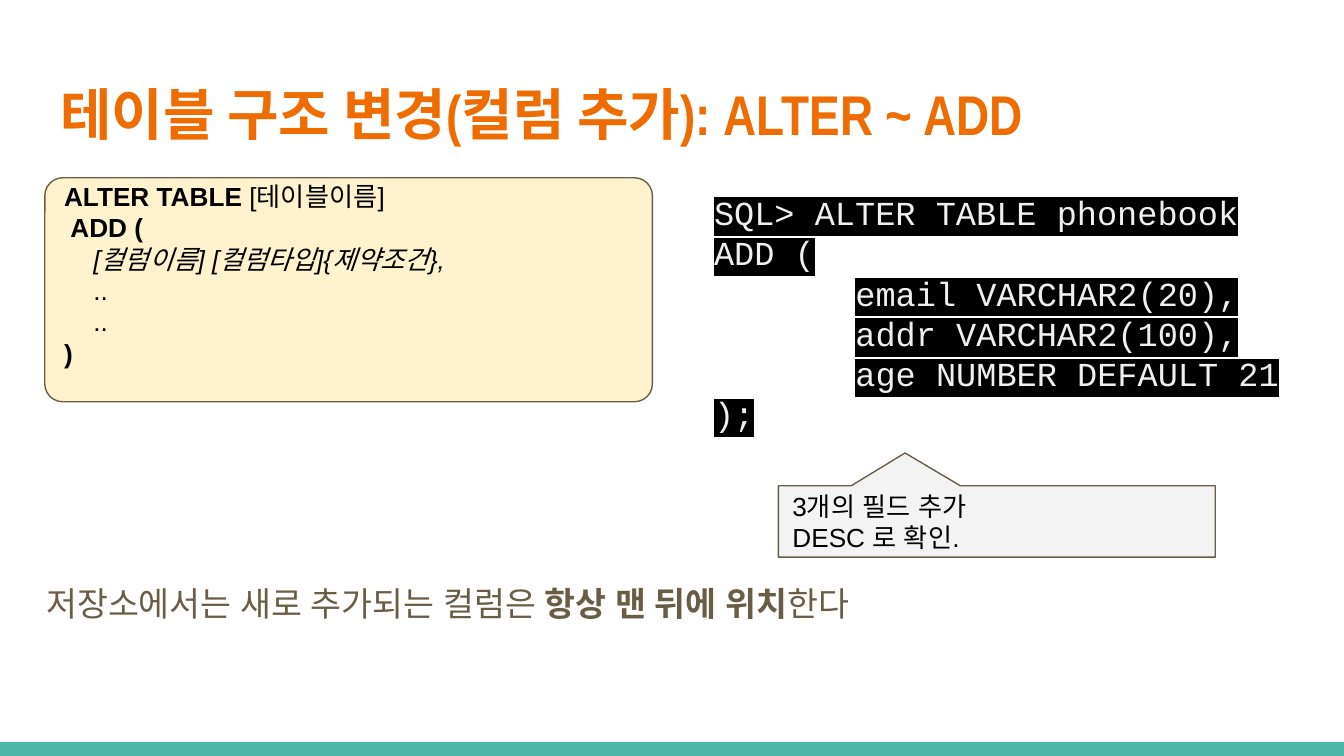
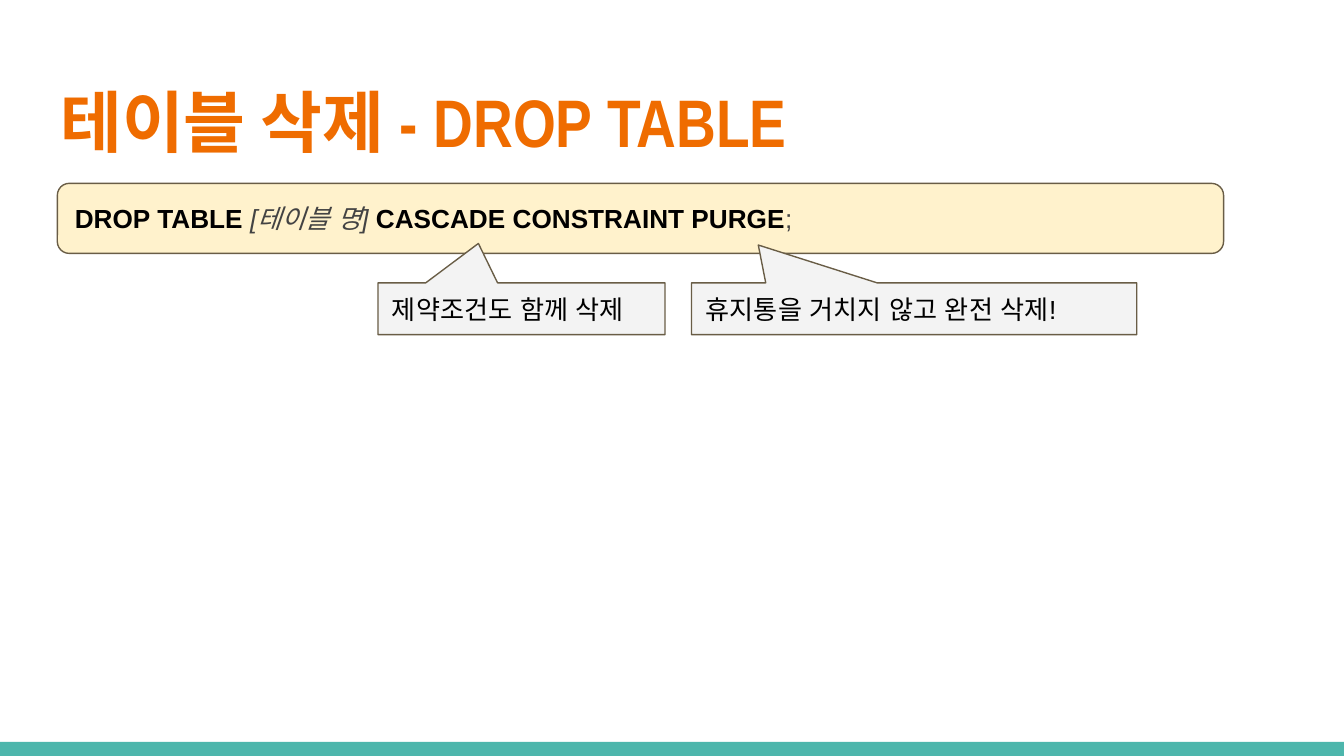
import pptx
import pptx.util
import pptx.dml.color
import pptx.enum.shapes
import pptx.enum.text
import pptx.oxml
import pptx.oxml.ns

PX = 9525
INSET = 10
COLORS = {
    "title": "EF6C00",
    "band": "4DB6AC",
    "brown": "695D46",
    "syntax": "FFF2CC",
    "note": "F3F3F3",
    "black": "000000",
    "gray": "434343",
    "code": "EFEFEF",
}
SHAPES = pptx.enum.shapes.MSO_SHAPE
ANCHORS = pptx.enum.text.MSO_ANCHOR
NAMESPACE = pptx.oxml.ns.nsdecls("a")


def write(box, lines, font, size, color, anchor=ANCHORS.TOP):
    frame = box.text_frame
    frame.word_wrap = True
    frame.auto_size = pptx.enum.text.MSO_AUTO_SIZE.NONE
    frame.vertical_anchor = anchor
    frame.margin_left = frame.margin_right = INSET * PX
    frame.margin_top = frame.margin_bottom = INSET * PX
    for index, (indent, spans) in enumerate(lines):
        para = frame.add_paragraph() if index else frame.paragraphs[0]
        para.alignment = pptx.enum.text.PP_ALIGN.LEFT
        para.space_before = pptx.util.Pt(0)
        para.font.name = font
        para.font.size = pptx.util.Pt(size)
        para.font.color.rgb = pptx.dml.color.RGBColor.from_string(COLORS[color])
        para.font._element.append(pptx.oxml.parse_xml(f'<a:ea {NAMESPACE} typeface="{font}"/>'))
        properties = para._p.get_or_add_pPr()
        properties.set("marL", str(indent * PX))
        properties.set("indent", "0")
        for text, style, *tint in spans:
            if text == "\n":
                para.add_line_break()
                continue
            span = para.add_run()
            span.text = text
            span.font.bold = "b" in style
            span.font.italic = "i" in style
            if tint:
                span.font.color.rgb = pptx.dml.color.RGBColor.from_string(COLORS[tint[0]])
    return frame


def add_panel(page, kind, place, fill, line=None, adjustments=()):
    box = page.shapes.add_shape(kind, *(length * PX for length in place))
    box.shadow.inherit = False
    box.fill.solid()
    box.fill.fore_color.rgb = pptx.dml.color.RGBColor.from_string(COLORS[fill])
    if line:
        box.line.color.rgb = pptx.dml.color.RGBColor.from_string(COLORS[line])
        box.line.width = pptx.util.Pt(0.75)
    else:
        box.line.fill.background()
    for index, value in enumerate(adjustments):
        box.adjustments[index] = value
    return box


deck = pptx.Presentation()
deck.slide_width = 960 * PX
deck.slide_height = 540 * PX

TITLES = [
    (1, "테이블 구조 변경(컬럼 추가): ALTER ~ ADD", 30),
    (5, "테이블 삭제 - DROP TABLE", 36),
]
SYNTAX = [
    ((32, 127, 434, 160), 0.08, [
        (0, [("ALTER TABLE", "b"), (" [테이블이름]", ""), ("\n", ""), (" ADD (", "b")]),
        (21, [("[컬럼이름] [컬럼타입]{제약조건},", "i")]),
        (21, [("..", "")]),
        (21, [("..", "")]),
        (0, [(")", "b")]),
    ]),
    ((41, 131, 833, 50), 0.17, [
        (0, [("DROP TABLE ", "b"), ("[테이블 명] ", "i", "gray"),
             ("CASCADE CONSTRAINT PURGE", "b"), (";", "", "gray")]),
    ]),
]
NOTES = [
    [((556, 347, 312, 51), (-0.21, -0.96, 0),
      [("3개의 필드 추가", ""), ("\n", ""), ("DESC 로 확인.", "")])],
    [((270, 202, 205, 37), (-0.15, -1.26, 0), [("제약조건도 함께 삭제", "")]),
     ((494, 202, 318, 37), (-0.35, -1.23, 0), [("휴지통을 거치지 않고 완전 삭제!", "")])],
]

pages = []
syntax_frames = []
for (layout, heading, size), (place, corner, lines), notes in zip(TITLES, SYNTAX, NOTES):
    page = deck.slides.add_slide(deck.slide_layouts[layout])
    pages.append(page)
    add_panel(page, SHAPES.RECTANGLE, (0, 530, 960, 10), "band")

    title = page.shapes.title
    title.left, title.top, title.width, title.height = (n * PX for n in (33, 47, 895, 74))
    write(title, [(0, [(heading, "b")])], "Arial Narrow", size, "title")

    box = add_panel(page, SHAPES.ROUNDED_RECTANGLE, place, "syntax", "brown", [corner])
    syntax_frames.append(write(box, lines, "Arial", 14, "black", ANCHORS.MIDDLE))

    for place, pointer, spans in notes:
        callout = add_panel(page, SHAPES.ROUNDED_RECTANGULAR_CALLOUT, place, "note", "brown", pointer)
        write(callout, [(0, spans)], "Arial", 14, "black", ANCHORS.MIDDLE)

syntax_frames[0].margin_bottom = 32 * PX

body = pages[0].placeholders[1]
body.left, body.top, body.width, body.height = (n * PX for n in (23, 402, 743, 47))
remark = [("저장소에서는 새로 추가되는 컬럼은 ", ""), ("항상 맨 뒤에 위치", "b"), ("한다", "")]
frame = write(body, [(0, remark)], "Open Sans", 18, "brown")
para = frame.paragraphs[0]
para.line_spacing = 1.15
para.space_after = pptx.util.Pt(16)
para.font._element.addprevious(pptx.oxml.parse_xml(f"<a:buNone {NAMESPACE}/>"))

code = pages[0].shapes.add_textbox(*(n * PX for n in (500, 127, 434, 208)))
statements = [
    (0, "SQL> ALTER TABLE phonebook"),
    (0, "ADD ("),
    (101, "email VARCHAR2(20),"),
    (101, "addr VARCHAR2(100),"),
    (101, "age NUMBER DEFAULT 21"),
    (0, ");"),
]
frame = write(code, [(indent, [(text, "")]) for indent, text in statements], "Courier New", 18, "code")
for para in frame.paragraphs:
    para.runs[0].font._element.append(pptx.oxml.parse_xml(
        f'<a:highlight {NAMESPACE}><a:srgbClr val="{COLORS["black"]}"/></a:highlight>'))

deck.save("out.pptx")
